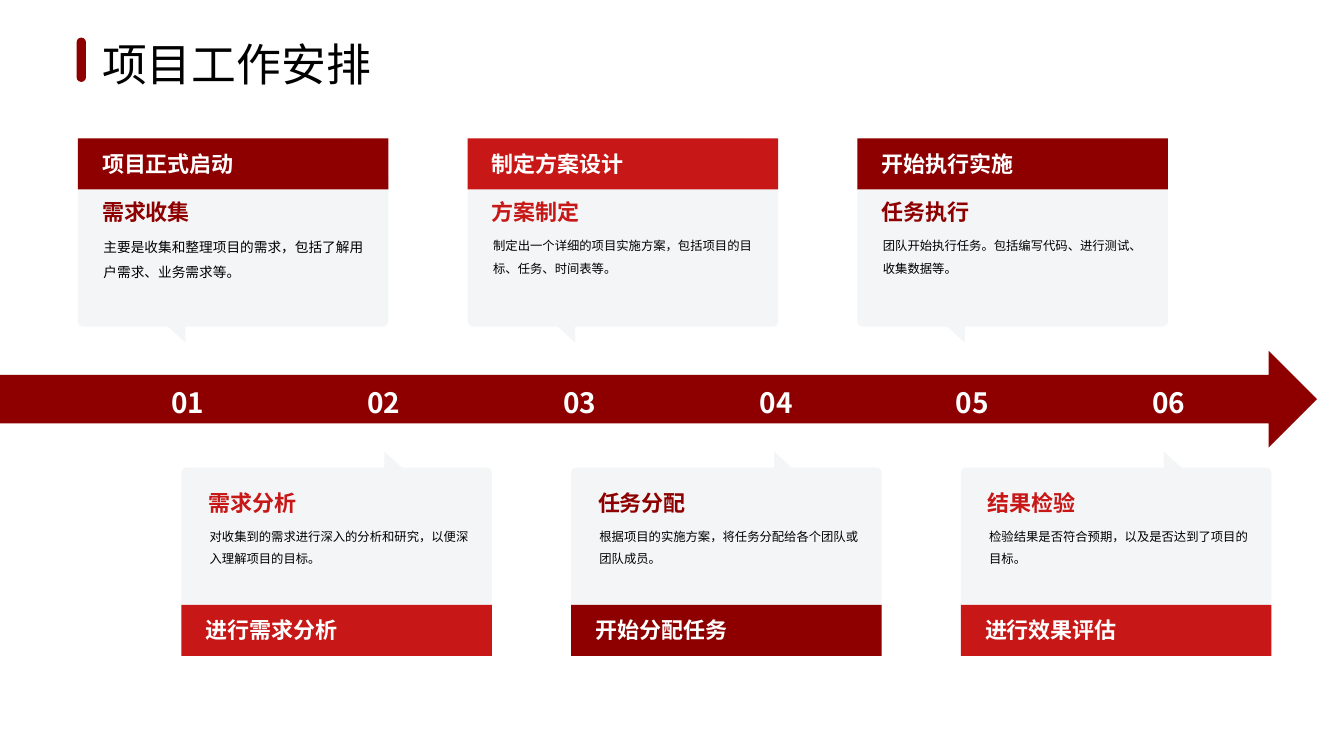
from math import cos, radians, sin

from lxml.etree import SubElement
from pptx import Presentation
from pptx.dml.color import RGBColor
from pptx.enum.shapes import MSO_SHAPE
from pptx.enum.text import MSO_ANCHOR, MSO_AUTO_SIZE, PP_ALIGN
from pptx.oxml.ns import qn
from pptx.util import Inches, Pt

DARK_RED = RGBColor(0x8E, 0x00, 0x00)
RED = RGBColor(0xC7, 0x17, 0x17)
PALE = RGBColor(0xF3, 0xF5, 0xF6)
BLACK = RGBColor(0x00, 0x00, 0x00)
WHITE = RGBColor(0xFF, 0xFF, 0xFF)
CJK_FONT = "Noto Sans CJK SC"
TITLE_FONT = "Cabin"

# Grid: cards stand in columns, the lower row is shifted to the right
COLUMN_PITCH = 2.9
UPPER_LEFT, UPPER_TOP = 0.58, 1.03
LOWER_LEFT, LOWER_TOP = 1.35, 3.48
CARD_WIDTH, CARD_HEIGHT = 2.31, 1.4
BAND_HEIGHT = 0.38
STEP_LEFT, STEP_PITCH = 1.14, 1.46

# Band label, heading, description, description size
UPPER_CARDS = [
    ("项目正式启动", "需求收集", "主要是收集和整理项目的需求，包括了解用户需求、业务需求等。", 7.3),
    ("制定方案设计", "方案制定", "制定出一个详细的项目实施方案，包括项目的目标、任务、时间表等。", 6.6),
    ("开始执行实施", "任务执行", "团队开始执行任务。包括编写代码、进行测试、收集数据等。", 6.6),
]
LOWER_CARDS = [
    ("进行需求分析", "需求分析", "对收集到的需求进行深入的分析和研究，以便深入理解项目的目标。", 6.6),
    ("开始分配任务", "任务分配", "根据项目的实施方案，将任务分配给各个团队或团队成员。", 6.6),
    ("进行效果评估", "结果检验", "检验结果是否符合预期，以及是否达到了项目的目标。", 6.6),
]


def box(left, top, width, height):
    return [Inches(length) for length in (left, top, width, height)]


def paint(shape, color):
    shape.fill.solid()
    shape.fill.fore_color.rgb = color
    shape.line.fill.background()
    shape.shadow.inherit = False


def add_block(slide, kind, place, color):
    shape = slide.shapes.add_shape(kind, *box(*place))
    paint(shape, color)
    return shape


def add_run(paragraph, text, size, color, bold=False, font_name=CJK_FONT):
    run = paragraph.add_run()
    run.text = text
    run.font.size = Pt(size)
    run.font.bold = bold
    run.font.color.rgb = color
    run.font.name = font_name
    SubElement(run.font._element, qn("a:ea")).set("typeface", CJK_FONT)


def add_text(slide, place, text, size, color, bold=True, insets=(0.07, 0.04),
             align=PP_ALIGN.LEFT, line_spacing=None):
    frame = slide.shapes.add_textbox(*box(*place)).text_frame
    frame.word_wrap = True
    frame.margin_left = frame.margin_right = Inches(insets[0])
    frame.margin_top = frame.margin_bottom = Inches(insets[1])
    paragraph = frame.paragraphs[0]
    paragraph.alignment = align
    paragraph.line_spacing = line_spacing
    add_run(paragraph, text, size, color, bold)


def add_title(slide, text):
    title = slide.shapes.title
    title.left, title.top, title.width, title.height = box(0.66, 0.22, 2.22, 0.5)
    frame = title.text_frame
    frame.auto_size = MSO_AUTO_SIZE.NONE
    frame.word_wrap = False
    frame.vertical_anchor = MSO_ANCHOR.TOP
    paragraph = frame.paragraphs[0]
    paragraph.alignment = PP_ALIGN.LEFT
    add_run(paragraph, text, 24, BLACK, font_name=TITLE_FONT)
    marker = add_block(slide, MSO_SHAPE.ROUNDED_RECTANGLE, (0.57, 0.28, 0.07, 0.33), DARK_RED)
    marker.adjustments[0] = 0.5


def corner(center_x, center_y, start, radius=0.04):
    """Points of a quarter circle, clockwise on the slide from the start angle."""
    angles = [radians(start + step * 15) for step in range(7)]
    return [(center_x + radius * cos(angle), center_y + radius * sin(angle))
            for angle in angles]


def add_bubble(slide, left, top, upside_down):
    """Card with one cut corner and a pointer towards the arrow."""
    radius, cut = 0.04, 0.28
    points = [
        (CARD_WIDTH - cut, 0), (CARD_WIDTH, cut),
        *corner(CARD_WIDTH - radius, CARD_HEIGHT - radius, 0),
        (0.8, CARD_HEIGHT), (0.8, CARD_HEIGHT + 0.12), (0.67, CARD_HEIGHT),
        *corner(radius, CARD_HEIGHT - radius, 90),
        *corner(radius, radius, 180),
    ]
    if upside_down:
        points = [(CARD_WIDTH - x, CARD_HEIGHT - y) for x, y in points]
    outline = [(Inches(left + x), Inches(top + y)) for x, y in points]
    builder = slide.shapes.build_freeform(*outline[0])
    builder.add_line_segments(outline[1:], close=True)
    paint(builder.convert_to_shape(), PALE)


def add_card(slide, left, top, card, color, lower):
    label, heading, description, size = card
    band_top = top + CARD_HEIGHT - BAND_HEIGHT if lower else top
    heading_top = top + (0.12 if lower else 0.41)
    text_left = left + (0.13 if lower else 0.11)
    add_bubble(slide, left, top, lower)
    add_text(slide, (text_left, heading_top, 1.57, 0.27), heading, 11.8, color)
    add_text(slide, (text_left + 0.01, heading_top + 0.24, 2.14, 0.4), description,
             size, BLACK, bold=False, line_spacing=1.5)
    add_block(slide, MSO_SHAPE.RECTANGLE, (left, band_top, CARD_WIDTH, BAND_HEIGHT), color)
    add_text(slide, (left + 0.11, band_top + 0.05, 1.57, 0.27), label, 11.8, WHITE)


def add_timeline(slide, step_count):
    add_block(slide, MSO_SHAPE.RIGHT_ARROW, (0, 2.61, 9.8, 0.72), DARK_RED)
    for index in range(step_count):
        add_text(slide, (STEP_LEFT + index * STEP_PITCH, 2.82, 0.51, 0.35),
                 f"{index + 1:02d}", 15, WHITE, insets=(0.1, 0.05), align=PP_ALIGN.CENTER)


def main():
    presentation = Presentation()
    presentation.slide_width = Inches(10)
    presentation.slide_height = presentation.slide_width * 9 // 16
    slide = presentation.slides.add_slide(presentation.slide_layouts[5])

    add_title(slide, "项目工作安排")
    add_timeline(slide, len(UPPER_CARDS) + len(LOWER_CARDS))
    for column, (upper, lower) in enumerate(zip(UPPER_CARDS, LOWER_CARDS)):
        shift = column * COLUMN_PITCH
        colors = (RED, DARK_RED) if column % 2 else (DARK_RED, RED)
        add_card(slide, UPPER_LEFT + shift, UPPER_TOP, upper, colors[0], lower=False)
        add_card(slide, LOWER_LEFT + shift, LOWER_TOP, lower, colors[1], lower=True)

    presentation.save("out.pptx")


if __name__ == "__main__":
    main()
